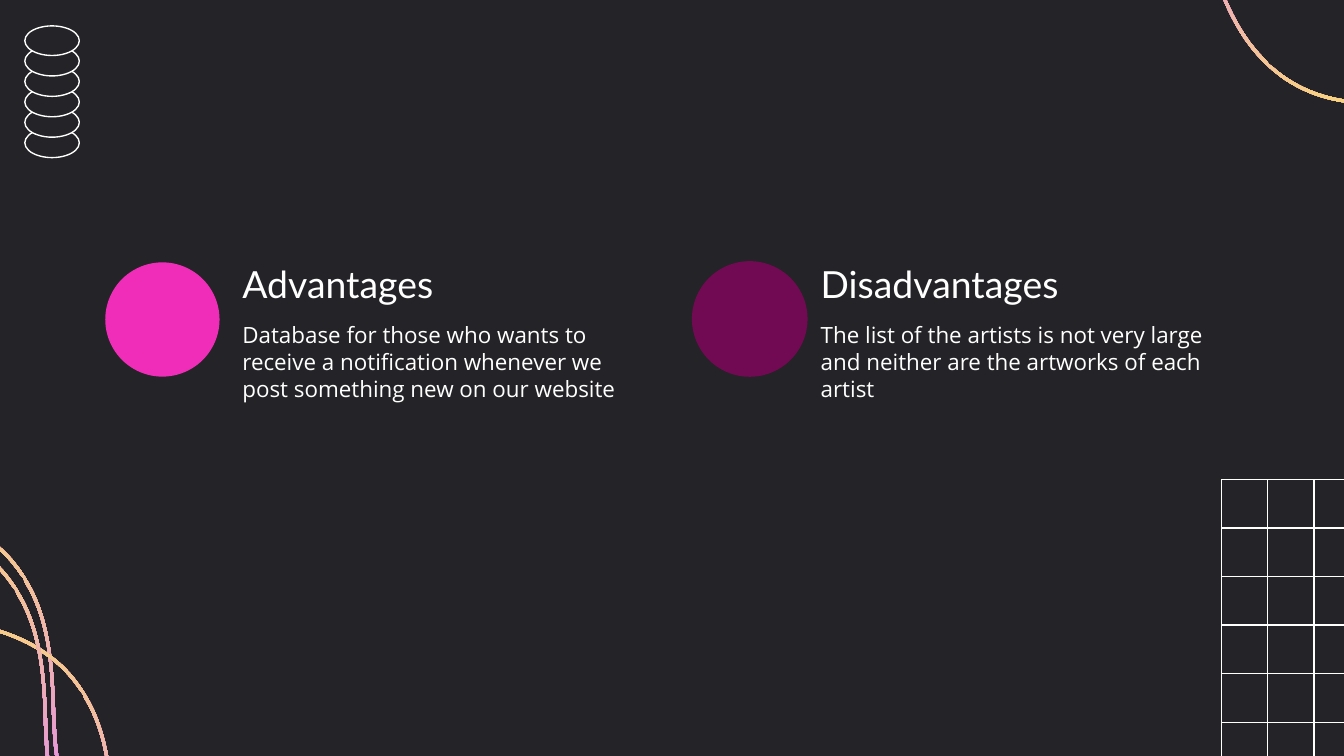
from lxml import etree
from pptx import Presentation
from pptx.dml.color import RGBColor
from pptx.enum.shapes import MSO_CONNECTOR, MSO_SHAPE
from pptx.enum.text import MSO_ANCHOR, MSO_AUTO_SIZE, PP_ALIGN
from pptx.oxml.ns import qn
from pptx.util import Cm, Pt

ELLIPSE, RECTANGLE = MSO_SHAPE.OVAL, MSO_SHAPE.RECTANGLE
STRAIGHT = MSO_CONNECTOR.STRAIGHT
TOP, BOTTOM = MSO_ANCHOR.TOP, MSO_ANCHOR.BOTTOM
LEFT = PP_ALIGN.LEFT
NO_AUTOFIT = MSO_AUTO_SIZE.NONE

COLOURS = {
    "background": "242327",
    "white": "FFFFFF",
    "pink": "EF2DB8",
    "plum": "710953",
    "violet": "DF7CFF",
    "yellow": "FFEB5D",
}
LINE_WIDTH = Pt(0.75)

# Thin wave in cm around its middle: one point is a line, three are a Bezier curve
WAVE_START = (3.4, -1.18)
WAVE_SEGMENTS = [
    [(2.56, 0.28), (1.63, 1.03), (0.55, 1.1)],
    [(0.49, 1.12), (0.42, 1.12), (0.37, 1.1)],
    [(-0.47, 1.12), (-1.29, 0.71), (-1.98, 0.33)],
    [(-2.5, 0.06), (-2.97, -0.19), (-3.35, -0.17)],
    [(-3.39, -0.17), (-3.42, -0.17), (-3.46, -0.17)],
    [(-3.46, -0.13)],
    [(-3.42, -0.13), (-3.39, -0.13), (-3.35, -0.13)],
    [(-2.99, -0.13), (-2.52, 0.12), (-2, 0.39)],
    [(-1.32, 0.75), (-0.49, 1.18), (0.39, 1.16)],
    [(1.36, 1.16), (2.42, 0.64), (3.45, -1.16)],
]


def colour(name):
    return RGBColor.from_string(COLOURS[name])


def add_shape(slide, kind, left, top, width, height, fill=None, line=None):
    shape = slide.shapes.add_shape(kind, Cm(left), Cm(top), Cm(width), Cm(height))
    shape.shadow.inherit = False
    if fill:
        shape.fill.solid()
        shape.fill.fore_color.rgb = colour(fill)
    else:
        shape.fill.background()
    if line:
        shape.line.color.rgb = colour(line)
        shape.line.width = LINE_WIDTH
    else:
        shape.line.fill.background()


def add_line(slide, x1, y1, x2, y2):
    line = slide.shapes.add_connector(STRAIGHT, Cm(x1), Cm(y1), Cm(x2), Cm(y2))
    line.line.color.rgb = colour("white")
    line.line.width = LINE_WIDTH
    etree.SubElement(line._element.spPr, qn("a:effectLst"))


def add_grid(slide, left, top, width, height, columns, rows, inner_columns):
    add_shape(slide, RECTANGLE, left, top, width, height, line="white")
    for row in range(1, rows):
        y = top + row * height / rows
        add_line(slide, left, y, left + width, y)
    for column in range(1, inner_columns + 1):
        x = left + column * width / columns
        add_line(slide, x, top, x, top + height)


def curve_segments(freeform):
    """Turn each run of three line points of the wave into a Bezier curve."""
    lines = iter(list(freeform._element.iter(qn("a:lnTo"))))
    for segment in WAVE_SEGMENTS:
        first, *others = [next(lines) for _ in segment]
        if others:
            first.tag = qn("a:cubicBezTo")
        for line in others:
            first.append(line[0])
            line.getparent().remove(line)


def add_wave(slide, centre_x, centre_y, rotation):
    def place(point):
        return Cm(centre_x + point[0]), Cm(centre_y + point[1])

    builder = slide.shapes.build_freeform(*place(WAVE_START))
    points = [place(point) for segment in WAVE_SEGMENTS for point in segment]
    builder.add_line_segments(points, close=True)
    wave = builder.convert_to_shape()
    curve_segments(wave)
    wave.shadow.inherit = False
    wave.line.fill.background()
    wave.fill.gradient()
    wave.fill.gradient_angle = 315
    for stop, name in zip(wave.fill.gradient_stops, ("violet", "yellow")):
        stop.color.rgb = colour(name)
    wave.rotation = rotation


def fill_placeholder(placeholder, text, box, font, size, anchor):
    placeholder.left, placeholder.top, placeholder.width, placeholder.height = map(Cm, box)
    frame = placeholder.text_frame
    frame.text = text
    frame.word_wrap = True
    frame.auto_size = NO_AUTOFIT
    frame.vertical_anchor = anchor
    frame.margin_left = frame.margin_right = Cm(0.25)
    frame.margin_top = frame.margin_bottom = Cm(0.25)
    paragraph = frame.paragraphs[0]
    paragraph.alignment = LEFT
    paragraph.space_before = Pt(0)
    paragraph.font.name = font
    paragraph.font.size = Pt(size)
    paragraph.font.bold = False
    paragraph.font.color.rgb = colour("white")
    # No bullet and no hanging indent
    properties = paragraph._p.get_or_add_pPr()
    properties.set("marL", "0")
    properties.set("indent", "0")
    bullet = etree.Element(qn("a:buNone"))
    properties.find(qn("a:spcBef")).addnext(bullet)


def add_column(heading, body, left, title, text):
    fill_placeholder(heading, title, (left, 4.57, 8.15, 1.47), "Lato", 20, BOTTOM)
    fill_placeholder(body, text, (left, 5.82, 8.15, 2.13), "Open Sans", 12, TOP)


def main():
    presentation = Presentation()
    presentation.slide_width, presentation.slide_height = Cm(25.4), Cm(14.29)
    slide = presentation.slides.add_slide(presentation.slide_layouts[4])
    slide.background.fill.solid()
    slide.background.fill.fore_color.rgb = colour("background")

    # Corner decorations
    add_grid(slide, 23.09, 9.06, 3.48, 5.51, columns=4, rows=6, inner_columns=2)
    for level in reversed(range(6)):
        top = 0.49 + level * 1.93 / 5
        add_shape(slide, ELLIPSE, 0.47, top, 1.03, 0.56, "background", "white")
    add_wave(slide, 24.45, 0.1, 45)
    for centre_x, centre_y in ((-0.29, 11.89), (0.83, 14.07), (-0.44, 12.12)):
        add_wave(slide, centre_x, centre_y, 240)

    # Text columns in the comparison layout, which needs no title here
    title, left_heading, left_body, right_heading, right_body = slide.placeholders
    title._element.getparent().remove(title._element)
    add_column(
        left_heading, left_body, 4.33, "Advantages",
        "Database for those who wants to receive a notification whenever "
        "we post something new on our website",
    )
    add_column(
        right_heading, right_body, 15.26, "Disadvantages",
        "The list of the artists is not very large and neither are "
        "the artworks of each artist",
    )

    # Column markers
    add_shape(slide, ELLIPSE, 1.99, 4.96, 2.16, 2.16, "pink")
    add_shape(slide, ELLIPSE, 13.09, 4.95, 2.16, 2.16, "plum", "plum")

    presentation.save("out.pptx")


if __name__ == "__main__":
    main()
